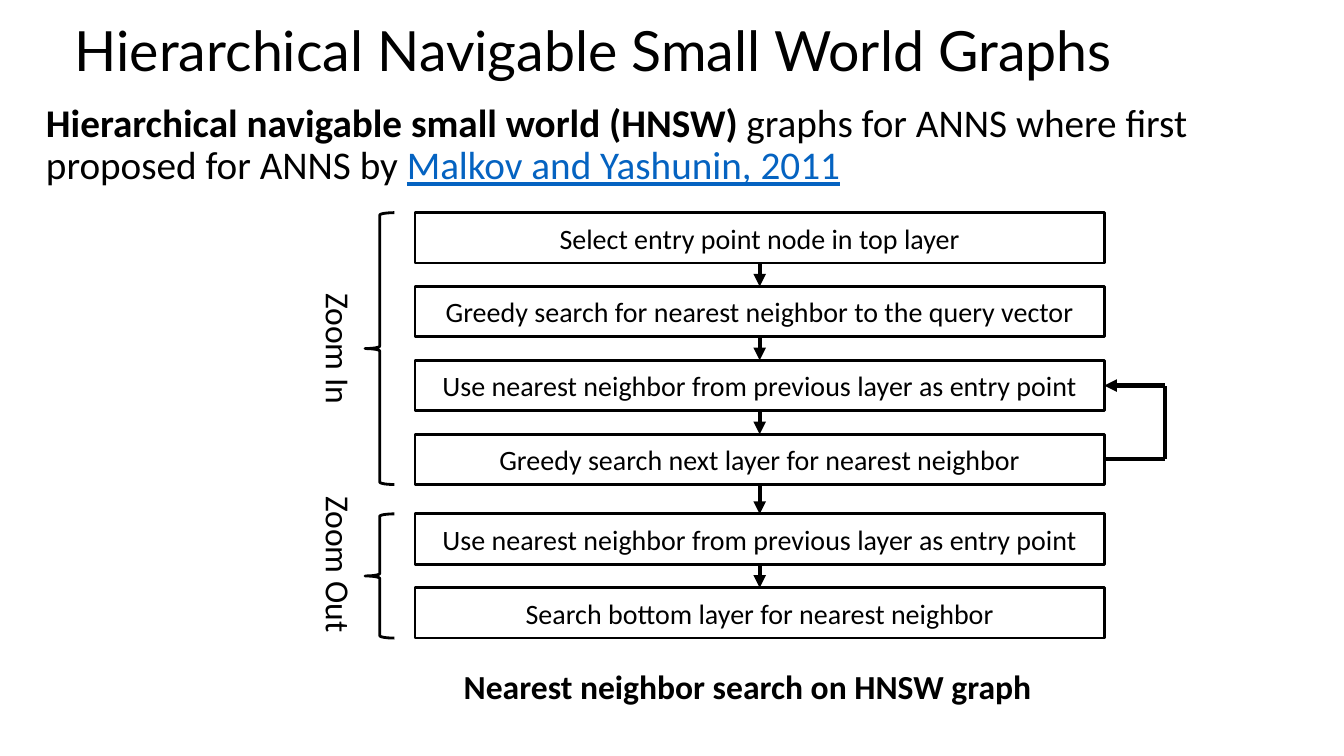
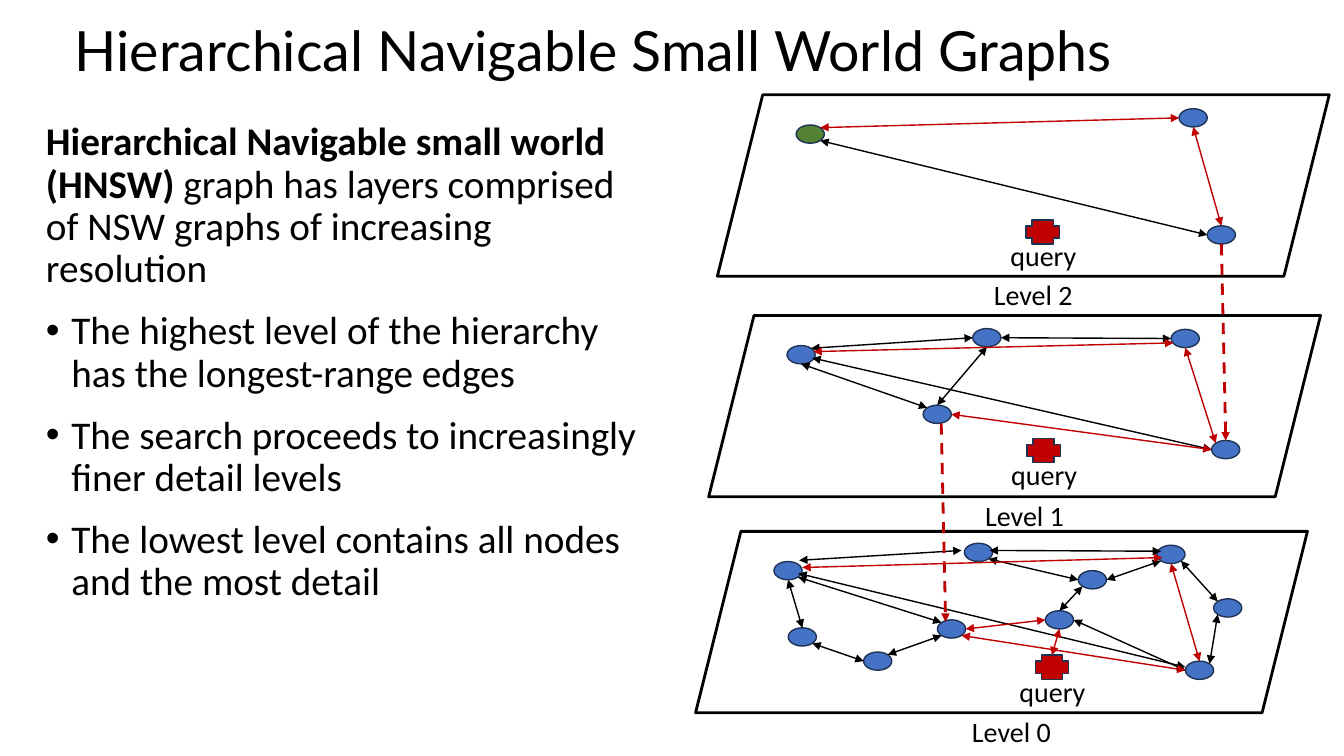
from lxml.etree import SubElement
from pptx import Presentation
from pptx.dml.color import RGBColor
from pptx.enum.dml import MSO_LINE
from pptx.enum.shapes import MSO_CONNECTOR, MSO_SHAPE as SHAPE
from pptx.enum.text import MSO_ANCHOR as ANCHOR, MSO_AUTO_SIZE, PP_ALIGN as ALIGN
from pptx.oxml.ns import qn
from pptx.util import Cm, Pt

COLORS = {"black": "000000", "link": "0563C1", "blue": "4472C4",
          "green": "548235", "red": "C00000", "outline": "1E3256"}
TITLE = "Hierarchical Navigable Small World Graphs"

INTRO = [[("Hierarchical navigable small world (HNSW)", "bold"),
          (" graphs for ANNS where first proposed for ANNS by ", ""),
          ("Malkov and Yashunin, 2011", "link")]]
PHASES = [
    ("Zoom In", 5.36, 8.79, ["Select entry point node in top layer",
                             "Greedy search for nearest neighbor to the query vector",
                             "Use nearest neighbor from previous layer as entry point",
                             "Greedy search next layer for nearest neighbor"]),
    ("Zoom Out", 12.95, 14.22, ["Use nearest neighbor from previous layer as entry point",
                                "Search bottom layer for nearest neighbor"]),
]
CAPTION = "Nearest neighbor search on HNSW graph"
STEP_X, STEP_W, STEP_H, STEP_PITCH = 10.46, 17.37, 1.27, 1.86
BRACE_X, BRACE_W, PHASE_X, LOOP_X = 9.2, 0.74, 8.55, 29.36

LAYERS = [
    [("Hierarchical Navigable small world (HNSW)", "bold"),
     (" graph has layers comprised of NSW graphs of increasing resolution", "")],
    [("The highest level of the hierarchy has the longest-range edges", "")],
    [("The search proceeds to increasingly finer detail levels", "")],
    [("The lowest level contains all nodes and the most detail", "")],
]
LEVELS = [("Level 0", (17.53, 13.39), (26.09, 16.51)),
          ("Level 1", (17.86, 7.95), (25.88, 11.05)),
          ("Level 2", (18.08, 2.39), (25.86, 5.54))]
PLANE_W, PLANE_H = 15.42, 4.57
QUERY_W, QUERY_H = 0.84, 0.61
NODE_W, NODE_H = 0.71, 0.46
ENTRY = "2a"
NODES = {
    "0a": (19.86, 14.38), "0b": (20.22, 16.05), "0c": (22.12, 16.66),
    "0d": (23.98, 15.85), "0e": (24.66, 13.92), "0f": (26.7, 15.62),
    "0g": (30.23, 16.89), "0h": (30.94, 15.32), "0i": (29.51, 13.97),
    "0j": (27.53, 14.61),
    "1a": (20.19, 8.94), "1b": (23.62, 10.44), "1c": (24.87, 8.51),
    "1d": (30.89, 11.33), "1e": (29.87, 8.53),
    "2a": (20.42, 3.38), "2b": (30.78, 5.92), "2c": (30.07, 2.97),
}
SITES = {"N": (0, -1), "S": (0, 1), "W": (-1, 0), "E": (1, 0),
         "NW": (-0.71, -0.71), "NE": (0.71, -0.71),
         "SW": (-0.71, 0.71), "SE": (0.71, 0.71)}
EDGES = {
    "black": [
        ("2a SE", "2b W"), ((20.47, 9.02), "1d W"), ("1a NE", "1c W"),
        ("1c E", "1e W"), ("1a S", "1b NW"), ("1b N", "1c S"),
        ((20.12, 14.45), (29.87, 16.81)), ((20.14, 14.12), (24.23, 13.87)),
        ((24.94, 13.87), (29.26, 13.89)), ("0a SE", "0d NW"), ("0j W", "0e SE"),
        ("0j E", "0i SW"), ("0i SE", "0h NW"), ("0g NE", "0h SW"),
        ("0f N", "0j SW"), ("0c NE", "0d SW"), ("0b N", "0a S"),
        ("0c W", "0b SE"), ("0g W", "0f E"),
    ],
    "red": [
        ("2a NE", "2c W"), ("2c S", "2b N"), ("1e S", "1d NW"),
        ((20.5, 8.86), (29.57, 8.64)), ("1b E", "1d W"),
        ((20.22, 14.3), (29.29, 14.05)), ("0i S", "0g N"),
        ("0d E", "0f W"), ("0d SE", "0g W"), ("0f S", (26.51, 16.51)),
    ],
}
DESCENTS = [("2b S", "1d N"), ((23.72, 10.67), (23.83, 15.67))]


def rgb(name):
    return RGBColor.from_string(COLORS[name])


def add_run(p, text, size, style="", font="Calibri"):
    r = p.add_run()
    r.text = text
    r.font.size, r.font.name = Pt(size), font
    r.font.bold = style == "bold"
    r.font.color.rgb = rgb("link" if style == "link" else "black")
    if style == "link":
        r.font.underline = True


def add_label(s, text, x, y, w, h, size=20, style=""):
    sp = s.shapes.add_textbox(Cm(x), Cm(y), Cm(w), Cm(h))
    sp.text_frame.word_wrap = True
    p = sp.text_frame.paragraphs[0]
    p.alignment = ALIGN.CENTER
    add_run(p, text, size, style)
    return sp


def add_body(s, paragraphs, x, y, w, h):
    tf = s.shapes.add_textbox(Cm(x), Cm(y), Cm(w), Cm(h)).text_frame
    tf.word_wrap = True
    for i, runs in enumerate(paragraphs):
        p = tf.add_paragraph() if i else tf.paragraphs[0]
        if i:
            pPr = p._p.get_or_add_pPr()
            pPr.set("marL", str(Cm(0.64)))
            pPr.set("indent", str(-Cm(0.64)))
            SubElement(pPr, qn("a:buFont"), typeface="Arial")
            SubElement(pPr, qn("a:buChar"), char="•")
            p.space_before = Pt(14)
        p.line_spacing = 0.9
        for text, style in runs:
            add_run(p, text, 28, style)


def add_outline(s, kind, x, y, w, h, fill=None, line="black", width=2):
    sp = s.shapes.add_shape(kind, Cm(x), Cm(y), Cm(w), Cm(h))
    sp.shadow.inherit = False
    if fill:
        sp.fill.solid()
        sp.fill.fore_color.rgb = rgb(fill)
    else:
        sp.fill.background()
    sp.line.color.rgb, sp.line.width = rgb(line), Pt(width)
    return sp


def add_line(s, start, end, color="black", width=3, ends=("tailEnd",), dash=False):
    cx = s.shapes.add_connector(MSO_CONNECTOR.STRAIGHT, *map(Cm, start + end))
    cx.line.color.rgb, cx.line.width = rgb(color), Pt(width)
    if dash:
        cx.line.dash_style = MSO_LINE.DASH
    ln = cx.line._get_or_add_ln()
    for tag in ends:
        SubElement(ln, qn("a:" + tag), type="triangle")
    SubElement(cx._element.spPr, qn("a:effectLst"))
    return cx


def add_titled_slide(prs):
    s = prs.slides.add_slide(prs.slide_layouts[5])
    sp = s.shapes.title
    sp.left, sp.top, sp.width, sp.height = Cm(1.63), Cm(0.61), Cm(29.21), Cm(1.47)
    tf = sp.text_frame
    tf.auto_size, tf.word_wrap = MSO_AUTO_SIZE.NONE, True
    tf.vertical_anchor = ANCHOR.MIDDLE
    p = tf.paragraphs[0]
    p.alignment, p.line_spacing = ALIGN.LEFT, 0.9
    add_run(p, TITLE, 39.6, font="Lato")
    return s


def build_search_slide(prs):
    s = add_titled_slide(prs)
    add_body(s, INTRO, 0.91, 2.49, 31.32, 2.72)
    boxes, tops = [], []
    for name, top, label_y, steps in PHASES:
        for i, step in enumerate(steps):
            tops.append(top + i * STEP_PITCH)
            sp = add_outline(s, SHAPE.RECTANGLE, STEP_X, tops[-1], STEP_W, STEP_H)
            sp.text_frame.word_wrap = True
            sp.text_frame.vertical_anchor = ANCHOR.MIDDLE
            p = sp.text_frame.paragraphs[0]
            p.alignment = ALIGN.CENTER
            add_run(p, step, 20)
            boxes.append(sp)
        height = (len(steps) - 1) * STEP_PITCH + STEP_H
        add_outline(s, SHAPE.LEFT_BRACE, BRACE_X, top, BRACE_W, height)
        w, h = 4.83, 1.27
        add_label(s, name, PHASE_X - w / 2, label_y - h / 2, w, h, 24).rotation = 90

    for upper, lower in zip(boxes, boxes[1:]):
        cx = add_line(s, (0, 0), (0, 0))
        cx.begin_connect(upper, 2)
        cx.end_connect(lower, 0)

    right = STEP_X + STEP_W
    back_y, next_y = (tops[i] + STEP_H / 2 for i in (2, 3))
    add_line(s, (right, next_y), (LOOP_X, next_y), ends=()).begin_connect(boxes[3], 3)
    add_line(s, (LOOP_X, next_y), (LOOP_X, back_y), ends=())
    add_line(s, (LOOP_X, back_y), (right, back_y)).end_connect(boxes[2], 3)
    add_label(s, CAPTION, STEP_X, 16.66, 16.76, 1.27, 24, "bold")


def locate(end):
    if isinstance(end, tuple):
        return end
    node, site = end.split()
    (x, y), (dx, dy) = NODES[node], SITES[site]
    return x + dx * NODE_W / 2, y + dy * NODE_H / 2


def build_layers_slide(prs):
    s = add_titled_slide(prs)
    add_body(s, LAYERS, 0.91, 2.95, 15.42, 15.34)
    for name, (x, y), (qx, qy) in LEVELS:
        add_outline(s, SHAPE.PARALLELOGRAM, x, y, PLANE_W, PLANE_H)
        add_outline(s, SHAPE.CROSS, qx, qy, QUERY_W, QUERY_H, "red", "outline", 1)
        add_label(s, "query", qx - 0.76, qy + 0.35, 2.39, 1.12)
        add_label(s, name, x + 5.13, y + 4.49, 5.66, 1.12)
    for node, (x, y) in NODES.items():
        add_outline(s, SHAPE.OVAL, x - NODE_W / 2, y - NODE_H / 2, NODE_W, NODE_H,
                    "green" if node == ENTRY else "blue", "outline", 1)
    for color, edges in EDGES.items():
        for start, end in edges:
            add_line(s, locate(start), locate(end), color, 1, ("headEnd", "tailEnd"))
    for start, end in DESCENTS:
        add_line(s, locate(start), locate(end), "red", 2, dash=True)


def main():
    prs = Presentation()
    prs.slide_width, prs.slide_height = Cm(33.87), Cm(19.05)
    build_search_slide(prs)
    build_layers_slide(prs)
    prs.save("out.pptx")


if __name__ == "__main__":
    main()
